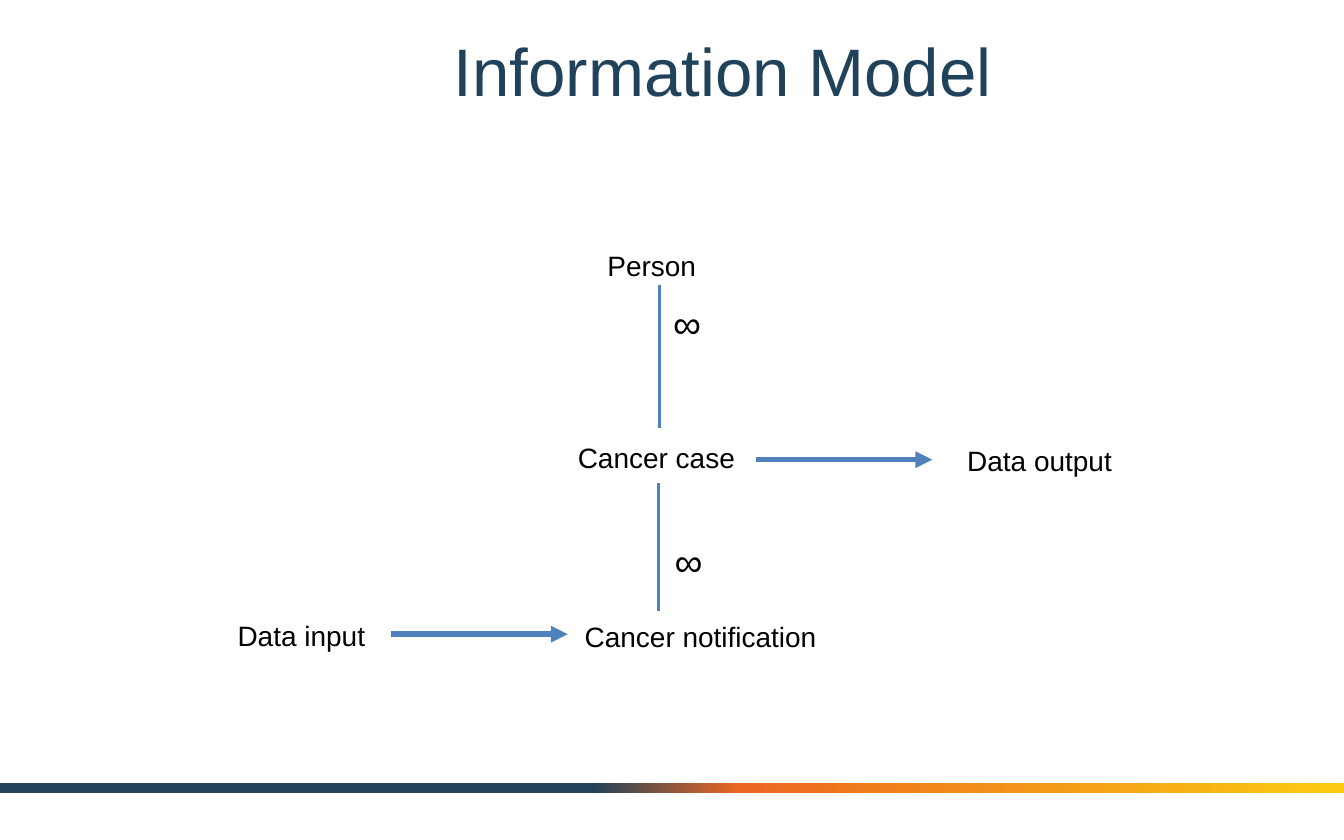
from lxml import etree
from pptx import Presentation
from pptx.dml.color import RGBColor
from pptx.enum.shapes import MSO_CONNECTOR, MSO_SHAPE
from pptx.enum.text import MSO_ANCHOR, PP_ALIGN
from pptx.oxml.ns import qn
from pptx.util import Cm, Pt

STRAIGHT = MSO_CONNECTOR.STRAIGHT
RECTANGLE = MSO_SHAPE.RECTANGLE
MIDDLE, TOP = MSO_ANCHOR.MIDDLE, MSO_ANCHOR.TOP
LEFT, CENTER = PP_ALIGN.LEFT, PP_ALIGN.CENTER
TITLE_ONLY = 5
WIDTH, HEIGHT = 25.4, 15.88
NAVY, ORANGE, YELLOW = "20425A", "EB6622", "FCCB10"
BLUE, BLACK = "4F81BD", "000000"


def color(value):
    return RGBColor.from_string(value)


def write(frame, text, size=15, fill=BLACK, font="Arial", align=LEFT, anchor=TOP):
    frame.word_wrap = True
    frame.vertical_anchor = anchor
    para = frame.paragraphs[0]
    para.alignment = align
    span = para.add_run()
    span.text = text
    span.font.name = font
    span.font.size = Pt(size)
    span.font.color.rgb = color(fill)


class Diagram:
    """Draws the elements of the model on one page; lengths in centimetres."""

    def __init__(self, page, line_color=BLUE):
        self.page = page
        self.line_color = line_color

    def title(self, text, left, top, width, height):
        box = self.page.shapes.title
        box.left, box.top = Cm(left), Cm(top)
        box.width, box.height = Cm(width), Cm(height)
        write(box.text_frame, text, size=36, fill=NAVY, align=CENTER, anchor=MIDDLE)

    def label(self, text, left, top, width, height=0.89, **style):
        box = self.page.shapes.add_textbox(Cm(left), Cm(top), Cm(width), Cm(height))
        write(box.text_frame, text, **style)

    def line(self, x1, y1, x2, y2, weight=1.5, arrow=False):
        line = self.page.shapes.add_connector(STRAIGHT, Cm(x1), Cm(y1), Cm(x2), Cm(y2))
        line.line.color.rgb = color(self.line_color)
        line.line.width = Pt(weight)
        if arrow:
            etree.SubElement(line.line._get_or_add_ln(), qn("a:tailEnd"), type="triangle")
        etree.SubElement(line._element.spPr, qn("a:effectLst"))

    def gradient_bar(self, top, height, stops):
        bar = self.page.shapes.add_shape(RECTANGLE, 0, Cm(top), Cm(WIDTH), Cm(height))
        bar.shadow.inherit = False
        bar.line.fill.background()
        bar.fill.gradient()
        bar.fill.gradient_angle = 0
        stop_list = bar._element.spPr.find(".//" + qn("a:gsLst"))
        for stop in list(stop_list):
            stop_list.remove(stop)
        for percent, value in stops:
            stop = etree.SubElement(stop_list, qn("a:gs"), pos=str(percent * 1000))
            etree.SubElement(stop, qn("a:srgbClr"), val=value)


def main():
    deck = Presentation()
    deck.slide_width, deck.slide_height = Cm(WIDTH), Cm(HEIGHT)
    diagram = Diagram(deck.slides.add_slide(deck.slide_layouts[TITLE_ONLY]))

    # Title and footer bar
    diagram.gradient_bar(14.81, 0.18, [(0, NAVY), (44, NAVY), (55, ORANGE), (100, YELLOW)])
    diagram.title("Information Model", 3.18, 0.36, 20.96, 1.93)

    # Entities, data input and data output
    for text, left, top, width in [
        ("Person", 11.23, 4.57, 3.25),
        ("Cancer case", 10.67, 8.2, 3.83),
        ("Cancer notification", 10.8, 11.58, 5.2),
        ("Data input", 4.24, 11.56, 3),
        ("Data output", 18.03, 8.26, 3.61),
    ]:
        diagram.label(text, left, top, width)

    # One-to-many relations
    for x, start, end, sign_left, sign_top in [
        (12.47, 5.38, 8.1, 12.47, 5.54),
        (12.45, 9.14, 11.56, 12.5, 10.03),
    ]:
        diagram.line(x, start, x, end)
        diagram.label("∞", sign_left, sign_top, 1.04, 1.14, size=21)

    # Data flow arrows
    for start, y in [(7.39, 11.99), (14.28, 8.69)]:
        diagram.line(start, y, start + 3.34, y, weight=3, arrow=True)

    deck.save("out.pptx")


if __name__ == "__main__":
    main()
